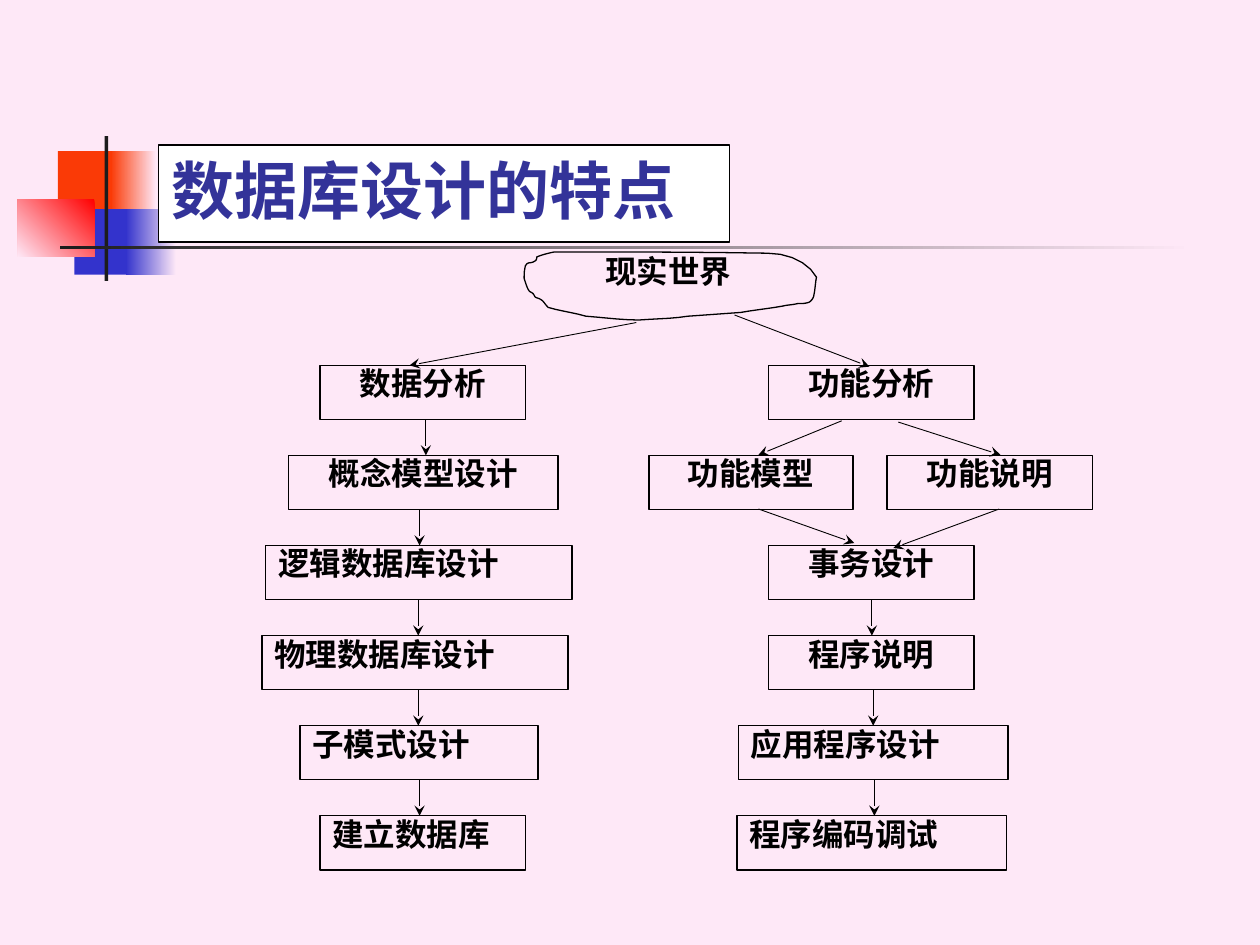
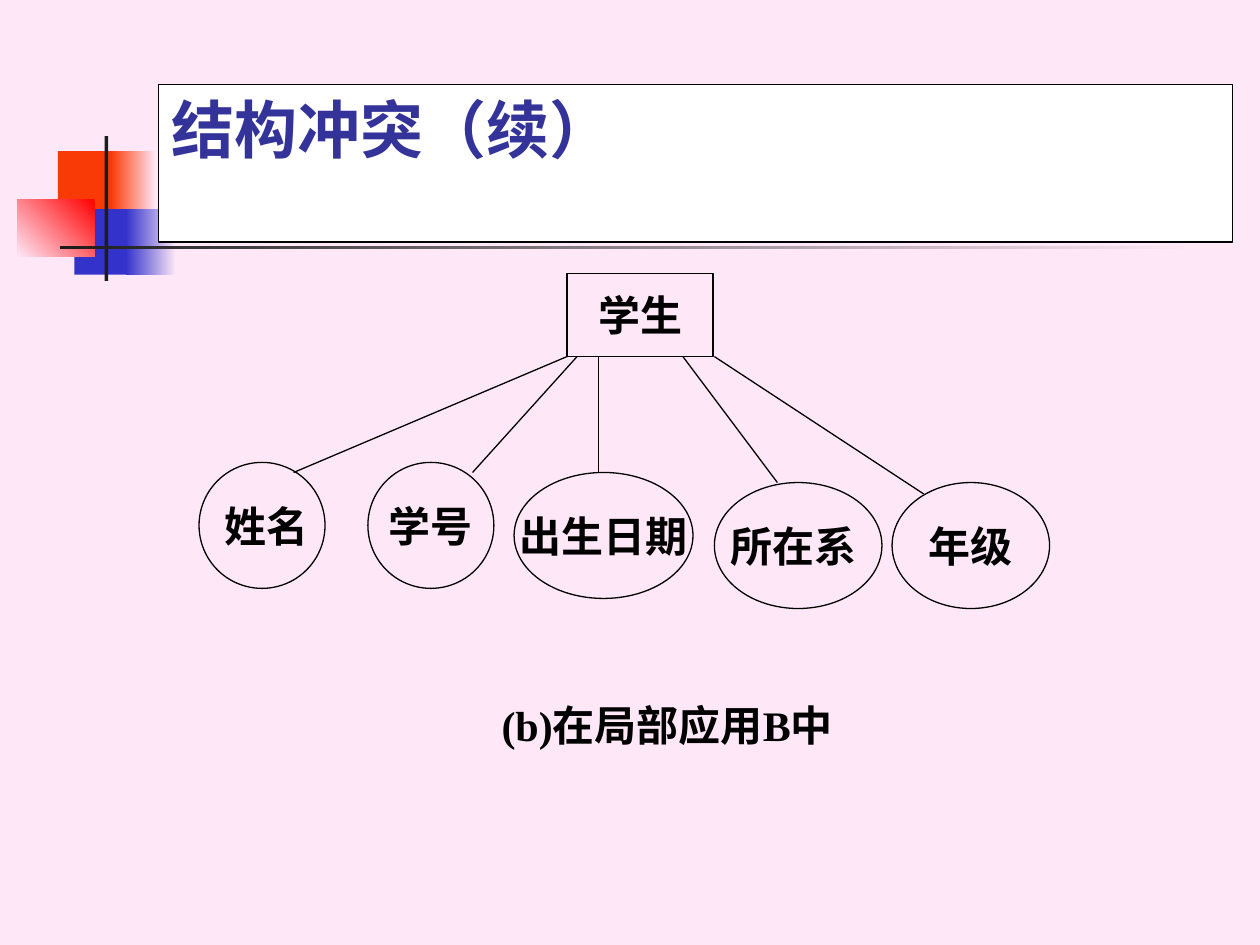
"""Build two slides on database design: a design flow and an entity with its attributes."""
import pptx
import pptx.dml.color
import pptx.enum.shapes
import pptx.enum.text
import pptx.oxml
import pptx.oxml.ns
import pptx.util

Inches = pptx.util.Inches
Pt = pptx.util.Pt
RGBColor = pptx.dml.color.RGBColor
Shape = pptx.enum.shapes.MSO_SHAPE
Align = pptx.enum.text.PP_ALIGN
Anchor = pptx.enum.text.MSO_ANCHOR

PINK = RGBColor(0xFE, 0xE8, 0xF7)
ORANGE = RGBColor(0xFA, 0x3A, 0x06)
BLUE = RGBColor(0x33, 0x33, 0xCC)
RED = RGBColor(0xFF, 0x00, 0x00)
CHARCOAL = RGBColor(0x1C, 0x1C, 0x1C)
NAVY = RGBColor(0x33, 0x33, 0x99)
WHITE = RGBColor(0xFF, 0xFF, 0xFF)
BLACK = RGBColor(0x00, 0x00, 0x00)
TITLE_FONT = "Roboto"
BODY_FONT = "Times New Roman"

# (area, colours, gradient angle)
ORNAMENTS = [
    ((0.46, 1.2, 0.48, 0.52), [ORANGE], 0),
    ((0.88, 1.2, 0.36, 0.52), [PINK, ORANGE], 180),
    ((0.59, 1.66, 0.46, 0.52), [BLUE], 0),
    ((1, 1.66, 0.4, 0.52), [PINK, BLUE], 180),
    ((0.14, 1.58, 0.61, 0.46), [RED, PINK], 225),
    ((0.83, 1.08, 0.03, 1.15), [CHARCOAL], 0),
    ((0.48, 1.95, 9, 0.03), [PINK, CHARCOAL], 180),
]

FLOW_TITLE = "数据库设计的特点"
WORLD = "现实世界"
FIRST_ROW, ROW_STEP, STEP_HEIGHT = 2.9, 0.715, 0.43
# (text, row, left, width, alignment)
STEPS = [
    ("数据分析", 0, 2.54, 1.63, Align.CENTER),
    ("概念模型设计", 1, 2.29, 2.14, Align.CENTER),
    ("逻辑数据库设计", 2, 2.11, 2.43, Align.JUSTIFY),
    ("物理数据库设计", 3, 2.08, 2.43, Align.JUSTIFY),
    ("子模式设计", 4, 2.38, 1.89, Align.JUSTIFY),
    ("建立数据库", 5, 2.54, 1.63, Align.JUSTIFY),
    ("功能分析", 0, 6.1, 1.63, Align.CENTER),
    ("功能模型", 1, 5.15, 1.62, Align.CENTER),
    ("功能说明", 1, 7.04, 1.63, Align.CENTER),
    ("事务设计", 2, 6.1, 1.63, Align.CENTER),
    ("程序说明", 3, 6.1, 1.63, Align.CENTER),
    ("应用程序设计", 4, 5.86, 2.14, Align.JUSTIFY),
    ("程序编码调试", 5, 5.85, 2.14, Align.JUSTIFY),
]
# (x, row the arrow leaves)
DOWN_ARROWS = [(3.38, 0), (3.33, 1), (3.32, 2), (3.32, 3), (3.33, 4),
               (6.92, 2), (6.93, 3), (6.94, 4)]
BRANCH_ARROWS = [
    (5.05, 2.56, 3.25, 2.9), (5.83, 2.5, 6.9, 2.91),
    (6.68, 3.34, 6.02, 3.61), (7.13, 3.35, 7.94, 3.61),
    (6.02, 4.04, 6.78, 4.31), (7.93, 4.04, 7.09, 4.35),
]
CLOUD_START = (4.26, 2.04)
CLOUD_CURVES = [
    ((4.31, 2.02), (4.35, 2.01), (4.4, 2)),
    ((4.96, 2), (5.53, 2), (6.09, 2.01)),
    ((6.27, 2.01), (6.42, 2.09), (6.48, 2.2)),
    ((6.47, 2.25), (6.47, 2.3), (6.46, 2.34)),
    ((6.46, 2.36), (6.44, 2.39), (6.42, 2.4)),
    ((6.39, 2.41), (6.36, 2.41), (6.33, 2.41)),
    ((6.29, 2.42), (6.25, 2.42), (6.21, 2.43)),
    ((6.1, 2.45), (5.99, 2.46), (5.88, 2.48)),
    ((5.74, 2.49), (5.46, 2.51), (5.46, 2.51)),
    ((5.34, 2.53), (5.2, 2.53), (5.07, 2.54)),
    ((4.93, 2.54), (4.79, 2.52), (4.65, 2.51)),
    ((4.55, 2.48), (4.45, 2.47), (4.35, 2.44)),
    ((4.31, 2.4), (4.32, 2.38), (4.25, 2.36)),
    ((4.24, 2.35), (4.24, 2.34), (4.23, 2.33)),
    ((4.22, 2.32), (4.21, 2.32), (4.2, 2.31)),
    ((4.18, 2.28), (4.17, 2.24), (4.16, 2.21)),
    ((4.16, 2.18), (4.16, 2.15), (4.17, 2.11)),
    ((4.19, 2.07), (4.21, 2.1), (4.25, 2.07)),
    ((4.26, 2.06), (4.26, 2.05), (4.26, 2.04)),
]

ENTITY_TITLE = "结构冲突（续）"
ENTITY = ("学生", (4.5, 2.17, 1.16, 0.66))
ENTITY_BOTTOM = 2.83
CAPTION = ("(b)在局部应用B中", (3.67, 5.42, 3.25, 0.67))
# (text, left, top, width, link start x, link end)
ATTRIBUTES = [
    (" 姓名", 1.58, 3.67, 1, 4.5, (2.33, 3.75)),
    ("学号", 2.92, 3.67, 1, 4.58, (3.75, 3.75)),
    ("出生日期", 4.08, 3.75, 1.42, 4.75, (4.75, 3.75)),
    ("所在系 ", 5.67, 3.83, 1.33, 5.42, (6.17, 3.83)),
    ("年级", 7.08, 3.83, 1.25, 5.67, (7.33, 3.92)),
]


def inches(values):
    return [Inches(value) for value in values]


def outline(shape):
    shape.shadow.inherit = False
    shape.fill.background()
    shape.line.color.rgb = BLACK
    shape.line.width = Pt(0.75)


def write(box, text, size, align=Align.CENTER, anchor=Anchor.MIDDLE, wrap=False,
          spacing=None, font=BODY_FONT, color=BLACK):
    frame = box.text_frame
    frame.auto_size = pptx.enum.text.MSO_AUTO_SIZE.NONE
    frame.word_wrap = wrap
    frame.vertical_anchor = anchor
    para = frame.paragraphs[0]
    para.alignment = align
    para.line_spacing = spacing
    span = para.add_run()
    span.text = text
    span.font.name = font
    span.font.size = Pt(size)
    span.font.bold = True
    span.font.color.rgb = color


def write_step(box, text, align=Align.CENTER):
    write(box, text, 18, align, Anchor.TOP, True, 0.8)


def add_outlined(page, kind, area):
    shape = page.shapes.add_shape(kind, *inches(area))
    outline(shape)
    return shape


def add_line(page, ends, width=0.75, arrow=False):
    line = page.shapes.add_connector(pptx.enum.shapes.MSO_CONNECTOR.STRAIGHT, *inches(ends))
    line.line.color.rgb = BLACK
    line.line.width = Pt(width)
    properties = line.element.spPr
    if arrow:
        head = pptx.oxml.parse_xml(
            '<a:tailEnd %s type="stealth"/>' % pptx.oxml.ns.nsdecls("a"))
        properties.find(pptx.oxml.ns.qn("a:ln")).append(head)
    properties.append(pptx.oxml.parse_xml("<a:effectLst %s/>" % pptx.oxml.ns.nsdecls("a")))


def add_page(deck, title, area):
    page = deck.slides.add_slide(deck.slide_layouts[5])
    box = page.shapes.title
    box.left, box.top, box.width, box.height = inches(area)
    box.fill.solid()
    box.fill.fore_color.rgb = WHITE
    box.line.color.rgb = BLACK
    box.line.width = Pt(0.75)
    write(box, title, 36, Align.LEFT, Anchor.TOP, True, font=TITLE_FONT, color=NAVY)
    return page


def move_ornaments_to_layout(page):
    for area, colors, angle in ORNAMENTS:
        block = page.shapes.add_shape(Shape.RECTANGLE, *inches(area))
        block.shadow.inherit = False
        block.line.fill.background()
        if len(colors) == 1:
            block.fill.solid()
            block.fill.fore_color.rgb = colors[0]
        else:
            block.fill.gradient()
            block.fill.gradient_angle = angle
            for position, (stop, color) in enumerate(zip(block.fill.gradient_stops, colors)):
                stop.position = position
                stop.color.rgb = color
        page.slide_layout.shapes.element.append(block.element)


def cloud_points(pieces=5):
    start = CLOUD_START
    for first, second, end in CLOUD_CURVES:
        for piece in range(1, pieces + 1):
            t = piece / pieces
            s = 1 - t
            yield inches(s**3 * a + 3 * s * s * t * b + 3 * s * t * t * c + t**3 * d
                         for a, b, c, d in zip(start, first, second, end))
        start = end


def row_top(row):
    return FIRST_ROW + ROW_STEP * row


def fill_flow(page):
    builder = page.shapes.build_freeform(*inches(CLOUD_START))
    builder.add_line_segments(list(cloud_points()), close=True)
    outline(builder.convert_to_shape())
    write_step(page.shapes.add_textbox(*inches((4.52, 2.01, 1.57, 0.51))), WORLD)
    for text, row, left, width, align in STEPS:
        box = add_outlined(page, Shape.RECTANGLE, (left, row_top(row), width, STEP_HEIGHT))
        write_step(box, text, align)
    for x, row in DOWN_ARROWS:
        add_line(page, (x, row_top(row) + STEP_HEIGHT, x, row_top(row + 1)), 0.5, True)
    for ends in BRANCH_ARROWS:
        add_line(page, ends, 0.5, True)


def fill_entity(page):
    text, area = ENTITY
    write(add_outlined(page, Shape.RECTANGLE, area), text, 24)
    for text, left, top, width, start, end in ATTRIBUTES:
        write(add_outlined(page, Shape.OVAL, (left, top, width, 1)), text, 24)
        add_line(page, (start, ENTITY_BOTTOM, *end))
    text, area = CAPTION
    write(page.shapes.add_textbox(*inches(area)), text, 24)


def main():
    deck = pptx.Presentation()
    deck.slide_width, deck.slide_height = Inches(10), Inches(7.5)
    background = deck.slide_master.background.fill
    background.solid()
    background.fore_color.rgb = PINK
    flow = add_page(deck, FLOW_TITLE, (1.26, 1.15, 4.53, 0.77))
    move_ornaments_to_layout(flow)
    fill_flow(flow)
    fill_entity(add_page(deck, ENTITY_TITLE, (1.26, 0.67, 8.52, 1.25)))
    deck.save("out.pptx")


if __name__ == "__main__":
    main()
